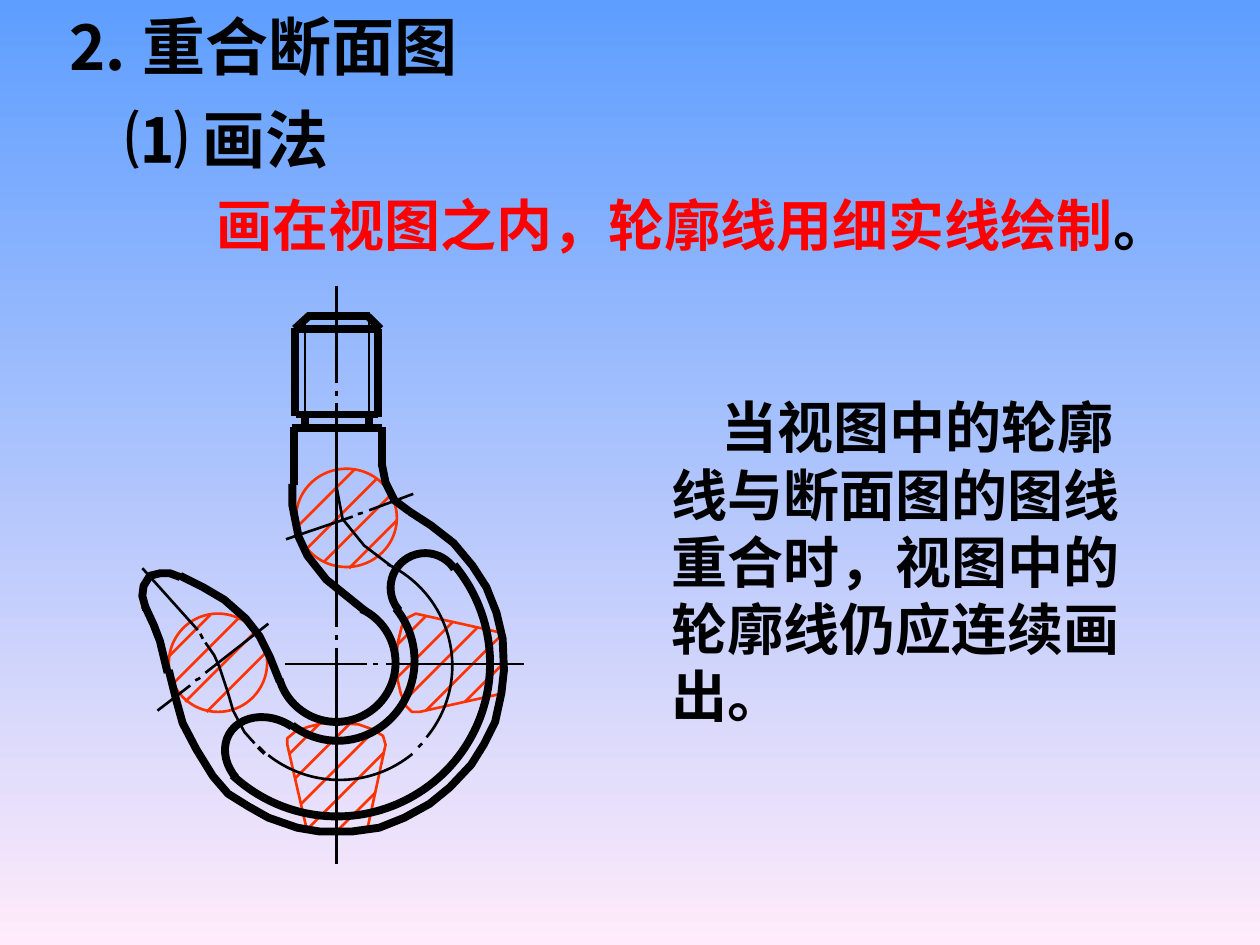
from lxml.etree import SubElement
from pptx import Presentation
from pptx.dml.color import RGBColor
from pptx.enum.shapes import MSO_CONNECTOR, MSO_SHAPE
from pptx.enum.text import MSO_ANCHOR, MSO_AUTO_SIZE, PP_ALIGN
from pptx.oxml.ns import qn
from pptx.util import Inches, Pt

FONT = "Noto Sans CJK SC"
BLACK, RED, HATCH = "000000", "FF0000", "FF3300"
SKY, BLUSH = "5E9EFF", "FFEBFA"
THICK, MEDIUM, THIN = 4.5, 2.25, 1.5
AXIS_X, AXIS_Y = 2.67, 5.27

TEXTS = [
    dict(at=(0.42, 0.01, 3.8, 0.7), size=36, spans=[("⒉ 重合断面图", BLACK)]),
    dict(at=(1.62, 1.46, 8.74, 0.64), size=32, anchor=MSO_ANCHOR.MIDDLE,
         spans=[("画在视图之内，轮廓线用细实线绘制", RED), ("。", BLACK)]),
    dict(at=(0.6, 0.75, 2.4, 0.7), size=36, anchor=MSO_ANCHOR.MIDDLE,
         align=PP_ALIGN.CENTER, spans=[("⑴ 画法", BLACK)]),
    dict(at=(5.23, 3.07, 4.04, 2.77), size=32, indent=0.4,
         spans=[("当视图中的轮廓线与断面图的图线重合时，视图中的轮廓线仍应连续画出。", BLACK)]),
]

ROUND_SECTIONS = [(1.34, 4.87, 0.78, 0.78), (2.35, 3.72, 0.8, 0.78)]

HATCHES = [
    (1.34, 5.21, 0.33), (1.37, 5.43, 0.52), (1.47, 5.57, 0.55), (1.64, 5.65, 0.47),
    (2.37, 4.17, 0.44), (2.44, 4.35, 0.55), (2.57, 4.46, 0.53), (2.77, 4.51, 0.38),
    (3.15, 5.12, 0.23), (3.15, 5.38, 0.44), (3.2, 5.57, 0.59), (3.38, 5.64, 0.61),
    (3.69, 5.57, 0.3),
    (2.3, 5.98, 0.23), (2.34, 6.18, 0.44), (2.39, 6.38, 0.59), (2.44, 6.58, 0.61),
    (2.68, 6.59, 0.3),
]

WEDGE_SECTIONS = [
    [(3.96, 5.51), (3.33, 5.65), (3.27, 5.65), (3.22, 5.6), (3.18, 5.5), (3.15, 5.37),
     (3.14, 5.23), (3.16, 5.09), (3.19, 4.97), (3.24, 4.9), (3.3, 4.87), (3.97, 5.02)],
    [(2.43, 6.56), (2.28, 5.91), (2.28, 5.86), (2.34, 5.81), (2.44, 5.77), (2.56, 5.74),
     (2.71, 5.74), (2.85, 5.75), (2.96, 5.79), (3.04, 5.84), (3.06, 5.91), (2.92, 6.56)],
]

ARCS = [
    ((2.07, 4.61, 1.22, 1.27), 318, 125, 0, THICK),
    ((1.46, 4.05, 2.43, 2.43), 320, 133, 0, THICK),
    ((1.84, 5.64, 0.6, 0.74), 209, 6, 300, THICK),
    ((3.1, 4.39, 0.55, 0.55), 139, 327, 0, THICK),
    ((2.2, 4.79, 0.94, 0.94), 295, 164, 0, THICK),
    ((1.78, 4.39, 1.81, 1.79), 296, 39, 0, THIN),
    ((1.79, 4.4, 1.81, 1.79), 50, 129, 0, THIN),
]

HOOK_CURVES = [
    ([(2.32, 3.84), (2.32, 4.01), (2.37, 4.26), (2.44, 4.41), (2.59, 4.6), (2.9, 4.85)], THICK),
    ([(1.34, 5.32), (1.4, 5.56), (1.45, 5.74), (1.56, 5.95), (1.69, 6.16), (1.81, 6.3),
      (1.97, 6.4), (2.13, 6.49), (2.36, 6.57), (2.54, 6.6), (2.79, 6.6), (3.01, 6.57),
      (3.21, 6.49), (3.41, 6.38), (3.57, 6.25), (3.74, 6.07), (3.84, 5.91), (3.93, 5.73),
      (3.98, 5.5), (4, 5.32), (3.99, 5.07), (3.94, 4.86), (3.86, 4.66), (3.75, 4.49),
      (3.6, 4.31), (3.42, 4.17), (3.25, 4.06)], THICK),
    ([(2.22, 5.41), (2.14, 5.21), (2.06, 5.05), (1.95, 4.91), (1.78, 4.76), (1.61, 4.66),
      (1.43, 4.57)], THICK),
    ([(1.33, 5.34), (1.27, 5.09), (1.22, 4.96), (1.15, 4.81)], THICK),
    ([(1.43, 4.58), (1.35, 4.55), (1.27, 4.55), (1.19, 4.57), (1.14, 4.65), (1.13, 4.73),
      (1.16, 4.84)], THICK),
    ([(3.03, 3.68), (3.06, 3.83), (3.13, 3.97), (3.25, 4.06)], THICK),
    ([(2.02, 5.9), (1.94, 5.81), (1.85, 5.64), (1.81, 5.5), (1.74, 5.29), (1.7, 5.2),
      (1.63, 5.1)], THIN),
    ([(2.67, 3.86), (2.72, 4.12), (2.89, 4.33), (3.1, 4.49)], THIN),
]

SHANK_EDGES = [
    (2.44, 2.51, 2.94, 2.51), (2.34, 2.61, 3.02, 2.61), (2.35, 3.29, 3, 3.29),
    (2.32, 3.4, 3.03, 3.4), (2.34, 2.6, 2.34, 3.3), (3, 2.61, 3, 3.31),
    (2.34, 2.61, 2.46, 2.5), (3.02, 2.61, 2.92, 2.51), (2.42, 3.4, 2.42, 3.29),
    (2.93, 3.4, 2.93, 3.29), (2.33, 3.39, 2.33, 3.85), (3.03, 3.39, 3.03, 3.71),
]
THREAD_LINES = [(x, 3.29, x, 2.51) for x in (2.42, 2.93)]

VERTICAL_DASHES = [(2.27, 3.04), (3.1, 3.14), (3.2, 4.98), (5.04, 5.08), (5.14, 6.86)]
HORIZONTAL_DASHES = [(2.26, 2.91), (2.96, 3), (3.06, 4.16)]
SLANTED_DASHES = [
    (1.25, 5.64, 1.51, 5.44), (1.55, 5.4, 1.59, 5.38), (1.63, 5.34, 2.13, 4.95),
    (1.57, 5, 1.13, 4.51), (1.61, 5.07, 1.59, 5.03),
    (2.27, 4.28, 2.8, 4.1), (2.84, 4.08, 2.88, 4.07), (2.93, 4.05, 3.28, 3.92),
    (3.32, 5.93, 3.35, 5.9),
]
CENTER_LINES = (
    [(AXIS_X, top, AXIS_X, bottom) for top, bottom in VERTICAL_DASHES]
    + [(left, AXIS_Y, right, AXIS_Y) for left, right in HORIZONTAL_DASHES]
    + SLANTED_DASHES
)


def color(value):
    return RGBColor.from_string(value)


def inches(values):
    return [Inches(value) for value in values]


def style_outline(shape, ink, weight):
    shape.shadow.inherit = False
    shape.fill.background()
    shape.line.color.rgb = color(ink)
    shape.line.width = Pt(weight)


def draw_line(group, ends, ink, weight):
    line = group.shapes.add_connector(MSO_CONNECTOR.STRAIGHT, *inches(ends))
    line.line.color.rgb = color(ink)
    line.line.width = Pt(weight)
    SubElement(line._element.spPr, qn("a:effectLst"))


def draw_curve(group, points, ink, weight):
    start, *rest = [inches(point) for point in points]
    builder = group.shapes.build_freeform(*start)
    builder.add_line_segments(rest, close=False)
    style_outline(builder.convert_to_shape(), ink, weight)


def draw_arc(group, at, start, end, rotation, weight):
    arc = group.shapes.add_shape(MSO_SHAPE.ARC, *inches(at))
    for index, degrees in enumerate((start, end)):
        arc.adjustments[index] = degrees * 0.6
    arc.rotation = rotation
    style_outline(arc, BLACK, weight)


def add_text(page, at, size, spans, anchor=MSO_ANCHOR.TOP, align=PP_ALIGN.LEFT, indent=0):
    frame = page.shapes.add_textbox(*inches(at)).text_frame
    frame.word_wrap = True
    frame.auto_size = MSO_AUTO_SIZE.SHAPE_TO_FIT_TEXT
    frame.vertical_anchor = anchor
    para = frame.paragraphs[0]
    para.alignment = align
    if indent:
        para._p.get_or_add_pPr().set("indent", str(Inches(indent)))
    for words, ink in spans:
        span = para.add_run()
        span.text = words
        span.font.size = Pt(size)
        span.font.bold = True
        span.font.color.rgb = color(ink)
        span.font.name = FONT
        SubElement(span._r.get_or_add_rPr(), qn("a:ea"), typeface=FONT)


def main():
    deck = Presentation()
    deck.slide_width, deck.slide_height = Inches(10), Inches(7.5)
    page = deck.slides.add_slide(deck.slide_layouts[6])
    backdrop = page.background.fill
    backdrop.gradient()
    backdrop.gradient_angle = 270
    for stop, position, ink in zip(backdrop.gradient_stops, (0, 1), (SKY, BLUSH)):
        stop.position = position
        stop.color.rgb = color(ink)

    for text in TEXTS:
        add_text(page, **text)

    hook = page.shapes.add_group_shape()
    for x, y, run in HATCHES:
        draw_line(hook, (x, y, x + run, y - run), HATCH, THIN)
    for at in ROUND_SECTIONS:
        style_outline(hook.shapes.add_shape(MSO_SHAPE.OVAL, *inches(at)), HATCH, THIN)
    for points in WEDGE_SECTIONS:
        draw_curve(hook, points, HATCH, THIN)
    for arc in ARCS:
        draw_arc(hook, *arc)
    for points, weight in HOOK_CURVES:
        draw_curve(hook, points, BLACK, weight)
    for lines, weight in ((SHANK_EDGES, THICK), (THREAD_LINES + CENTER_LINES, THIN),
                          ([(2.05, 5.93, 2.1, 5.98)], MEDIUM)):
        for ends in lines:
            draw_line(hook, ends, BLACK, weight)

    deck.save("out.pptx")


if __name__ == "__main__":
    main()
